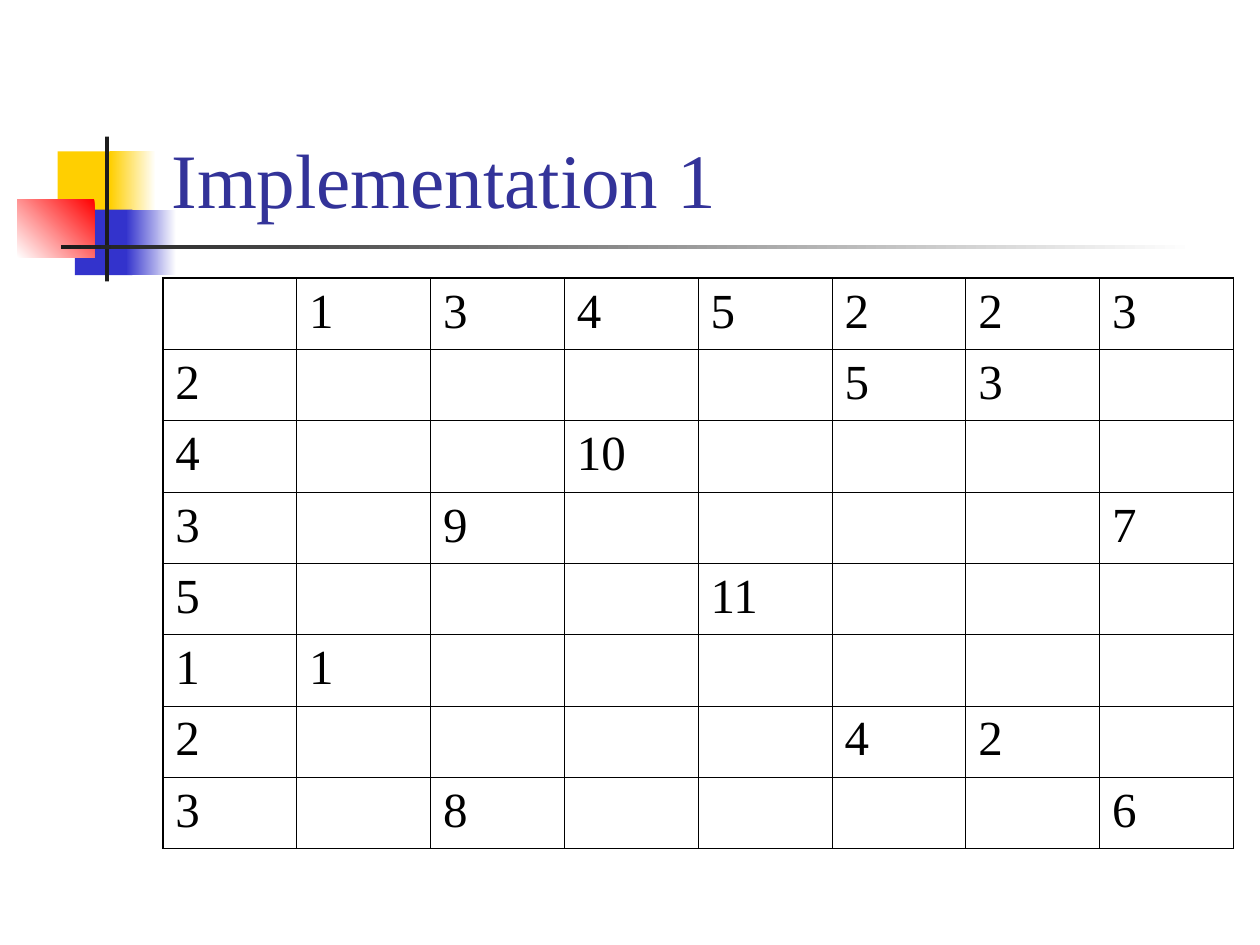
from dataclasses import dataclass

from lxml.etree import SubElement
from pptx import Presentation
from pptx.dml.color import RGBColor as RGB
from pptx.enum.shapes import MSO_SHAPE as SHAPE
from pptx.enum.text import MSO_ANCHOR as ANCHOR, MSO_AUTO_SIZE as AUTO, PP_ALIGN as ALIGN
from pptx.oxml.ns import qn
from pptx.util import Pt


@dataclass(frozen=True)
class Theme:
    font: str = "Times New Roman"
    title_size: float = 44
    cell_size: float = 28
    title: str = "333399"
    text: str = "000000"
    white: str = "FFFFFF"
    yellow: str = "FFCF01"
    blue: str = "3333CC"
    red: str = "FF0000"
    dark: str = "1C1C1C"
    inner_line: float = 0.45
    outer_line: float = 1.08


theme = Theme()


def style_font(font, size, color):
    font.name = theme.font
    font.size = Pt(size)
    font.color.rgb = RGB.from_string(color)


def add_border(cell, side, width):
    ln = SubElement(cell._tc.get_or_add_tcPr(), qn(f"a:ln{side}"), w=str(Pt(width)))
    fill = SubElement(ln, qn("a:solidFill"))
    SubElement(fill, qn("a:srgbClr"), val=theme.text)


prs = Presentation()
prs.slide_width, prs.slide_height = Pt(720), Pt(540)
s = prs.slides.add_slide(prs.slide_layouts[5])

# Corner ornament and rule: left, top, width, height, colours, angle
ornament = [
    (33, 86.5, 34.5, 37.5, [theme.yellow], None),
    (63, 86.5, 26, 37.5, [theme.white, theme.yellow], 180),
    (42.75, 119.75, 33, 37.5, [theme.blue], None),
    (72, 119.75, 28.75, 37.5, [theme.white, theme.blue], 180),
    (9.75, 113.75, 44.25, 33.5, [theme.red, theme.white], 225),
    (60, 78, 2.25, 82.75, [theme.dark], None),
    (34.75, 140.25, 648, 2.25, [theme.white, theme.dark], 180),
]
for left, top, width, height, colors, angle in ornament:
    sp = s.shapes.add_shape(SHAPE.RECTANGLE, Pt(left), Pt(top), Pt(width), Pt(height))
    sp.shadow.inherit = False
    sp.line.fill.background()
    if angle is None:
        sp.fill.solid()
        sp.fill.fore_color.rgb = RGB.from_string(colors[0])
    else:
        sp.fill.gradient()
        sp.fill.gradient_angle = angle
        for stop, color in zip(sp.fill.gradient_stops, colors):
            stop.color.rgb = RGB.from_string(color)

# Title, in front of the ornament
title = s.shapes.title
s.shapes._spTree.append(title._element)
title.left, title.top, title.width, title.height = Pt(90.75), Pt(16.5), Pt(613.5), Pt(115.25)
tf = title.text_frame
tf.text = "Implementation 1"
tf.word_wrap = True
tf.auto_size = AUTO.NONE
tf.vertical_anchor = ANCHOR.BOTTOM
p = tf.paragraphs[0]
p.alignment = ALIGN.LEFT
style_font(p.runs[0].font, theme.title_size, theme.title)

# Matching grid: the headers are the two sequences
columns = [1, 3, 4, 5, 2, 2, 3]
rows = [2, 4, 3, 5, 1, 2, 3]
matches = {
    (1, 5): 5, (1, 6): 3, (2, 3): 10, (3, 2): 9, (3, 7): 7, (4, 4): 11,
    (5, 1): 1, (6, 5): 4, (6, 6): 2, (7, 2): 8, (7, 7): 6,
}
values = {(0, c): v for c, v in enumerate(columns, 1)}
values |= {(r, 0): v for r, v in enumerate(rows, 1)}
values |= matches

last = len(rows)
col_width, row_height = 76.5, 40.75
count = last + 1
table = s.shapes.add_table(
    count, count, Pt(93), Pt(159), Pt(col_width * count), Pt(row_height * count)
).table
table.first_row = table.horz_banding = False
for column in table.columns:
    column.width = Pt(col_width)
for row in table.rows:
    row.height = Pt(row_height)

for r in range(count):
    for c in range(count):
        cell = table.cell(r, c)
        edges = {"L": c == 0, "R": c == last, "T": r == 0, "B": r == last}
        for side, is_outer in edges.items():
            add_border(cell, side, theme.outer_line if is_outer else theme.inner_line)
        cell.fill.background()
        if (r, c) in values:
            cell.text = str(values[r, c])
            style_font(cell.text_frame.paragraphs[0].runs[0].font, theme.cell_size, theme.text)

prs.save("out.pptx")
